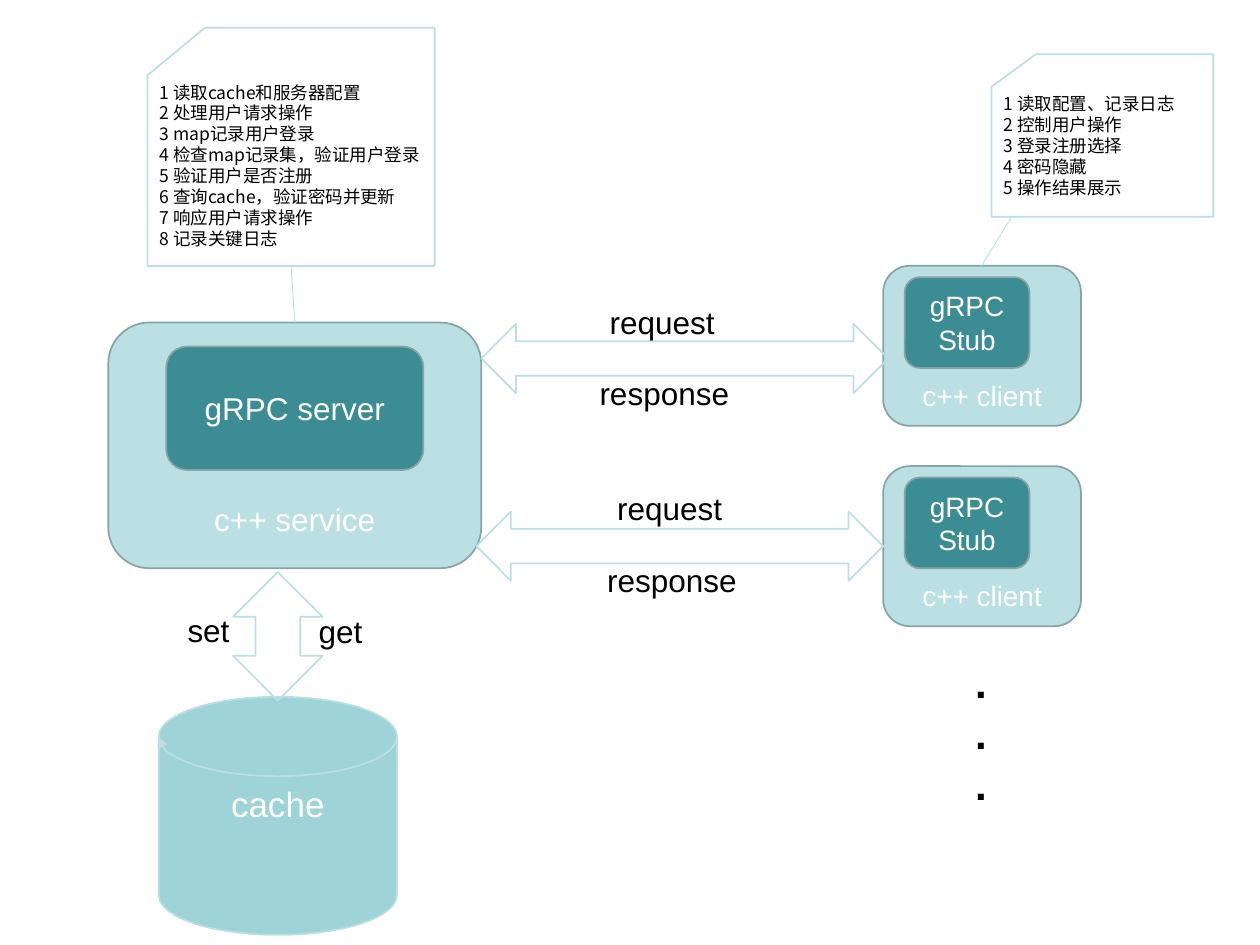
from lxml import etree
from pptx import Presentation
from pptx import util as u
from pptx.dml.color import RGBColor
from pptx.enum import shapes, text
from pptx.oxml import ns

PALE = RGBColor(0xBB, 0xE0, 0xE3)
TEAL = RGBColor(0x3C, 0x8C, 0x93)
DISK = RGBColor(0x9E, 0xD3, 0xD7)
EDGE = RGBColor(0x89, 0xA4, 0xA7)
WHITE = RGBColor(0xFF, 0xFF, 0xFF)
BLACK = RGBColor(0, 0, 0)

SERVER_NOTES = [
    "1 读取cache和服务器配置",
    "2 处理用户请求操作",
    "3 map记录用户登录",
    "4 检查map记录集，验证用户登录",
    "5 验证用户是否注册",
    "6 查询cache，验证密码并更新",
    "7 响应用户请求操作",
    "8 记录关键日志",
]
CLIENT_NOTES = [
    "1 读取配置、记录日志",
    "2 控制用户操作",
    "3 登录注册选择",
    "4 密码隐藏",
    "5 操作结果展示",
]
CLIENT_TOPS = [2.11, 3.7]
CARDS = [((7.87, 0.43, 1.76, 1.29), CLIENT_NOTES), ((1.17, 0.22, 2.28, 1.89), SERVER_NOTES)]
LEADERS = [((8.03, 1.72), (7.79, 2.11)), ((2.31, 2.11), (2.34, 2.56))]
EXCHANGES = [(3.82, 2.57), (3.78, 4.06)]
LABELS = [
    ("request", (4.74, 2.36, 1.05, 0.4)),
    ("response", (4.66, 2.92, 1.35, 0.4)),
    ("request", (4.8, 3.83, 1.05, 0.4)),
    ("response", (4.72, 4.4, 1.35, 0.4)),
    ("get", (2.43, 4.81, 0.63, 0.4)),
    ("set", (1.39, 4.8, 0.63, 0.4)),
]

CENTER = text.PP_ALIGN.CENTER
TOP, MIDDLE, BOTTOM = text.MSO_ANCHOR.TOP, text.MSO_ANCHOR.MIDDLE, text.MSO_ANCHOR.BOTTOM
KIND = shapes.MSO_SHAPE

deck = Presentation()
deck.slide_width, deck.slide_height = u.Inches(10), u.Inches(7.5)
page = deck.slides.add_slide(deck.slide_layouts[6])


def inches(values):
    return [u.Inches(value) for value in values]


def write(box, lines, size, color, align=text.PP_ALIGN.LEFT, anchor=TOP,
          font="Arial", bold=False, spacing=None, bottom=0.05):
    frame = box.text_frame
    frame_format = {
        "word_wrap": True, "vertical_anchor": anchor,
        "margin_left": u.Inches(0.1), "margin_right": u.Inches(0.1),
        "margin_top": u.Inches(0.05), "margin_bottom": u.Inches(bottom),
    }
    for name, value in frame_format.items():
        setattr(frame, name, value)
    for index, line in enumerate(lines):
        para = frame.add_paragraph() if index else frame.paragraphs[0]
        para.alignment = align
        if spacing:
            para.line_spacing = u.Pt(spacing)
        span = para.add_run()
        span.text = line
        for name, value in {"size": u.Pt(size), "name": font, "bold": bold}.items():
            setattr(span.font, name, value)
        span.font.color.rgb = color
        east = etree.SubElement(span.font._element, ns.qn("a:ea"))
        east.set("typeface", font)


def draw(kind, place, fill=None, line=PALE, tail=True):
    shape = page.shapes.add_shape(kind, *inches(place))
    shape.shadow.inherit = False
    if fill is None:
        shape.fill.background()
    else:
        shape.fill.solid()
        shape.fill.fore_color.rgb = fill
    shape.line.color.rgb = line
    shape.line.width = u.Pt(1)
    if tail:
        outline = shape.line._get_or_add_ln()
        etree.SubElement(outline, ns.qn("a:tailEnd")).set("type", "triangle")
    return shape


def draw_program(place, caption, size, bottom, inner_place, inner_lines):
    rounded = KIND.FLOWCHART_ALTERNATE_PROCESS
    outer = draw(rounded, place, PALE, EDGE, tail=False)
    write(outer, [caption], size, WHITE, CENTER, BOTTOM, bottom=bottom)
    inner = draw(rounded, inner_place, TEAL, EDGE, tail=False)
    write(inner, inner_lines, size, WHITE, CENTER, MIDDLE)


draw_program((0.86, 2.56, 2.96, 1.95), "c++ service", 18, 0.15,
             (1.32, 2.75, 2.04, 0.98), ["gRPC server"])
for top in CLIENT_TOPS:
    draw_program((7.01, top, 1.57, 1.27), "c++ client", 16, 0.05,
                 (7.18, top + 0.09, 0.99, 0.72), ["gRPC", "Stub"])

for place, notes in CARDS:
    card = draw(KIND.FLOWCHART_CARD, place)
    write(card, notes, 10, BLACK, font="Noto Sans CJK SC", spacing=12)

for start, end in LEADERS:
    leader = page.shapes.add_connector(shapes.MSO_CONNECTOR.STRAIGHT, *inches(start + end))
    leader.line.color.rgb = PALE
    leader.line.width = u.Pt(0.5)
    etree.SubElement(leader._element.spPr, ns.qn("a:effectLst"))

dots = page.shapes.add_textbox(*inches((7.05, 5.16, 1.47, 1.3)))
write(dots, ["."] * 3, 24, BLACK, CENTER, bold=True, spacing=29)

store = draw(KIND.FLOWCHART_MAGNETIC_DISK, (1.26, 5.53, 1.89, 1.89), DISK)
write(store, ["cache"], 20, WHITE, CENTER)

draw(KIND.UP_DOWN_ARROW, (1.85, 4.54, 0.71, 1.02))
for left, top in EXCHANGES:
    draw(KIND.LEFT_RIGHT_ARROW, (left, top, 3.23, 0.55))

for label, place in LABELS:
    write(page.shapes.add_textbox(*inches(place)), [label], 18, BLACK)

deck.save("out.pptx")
